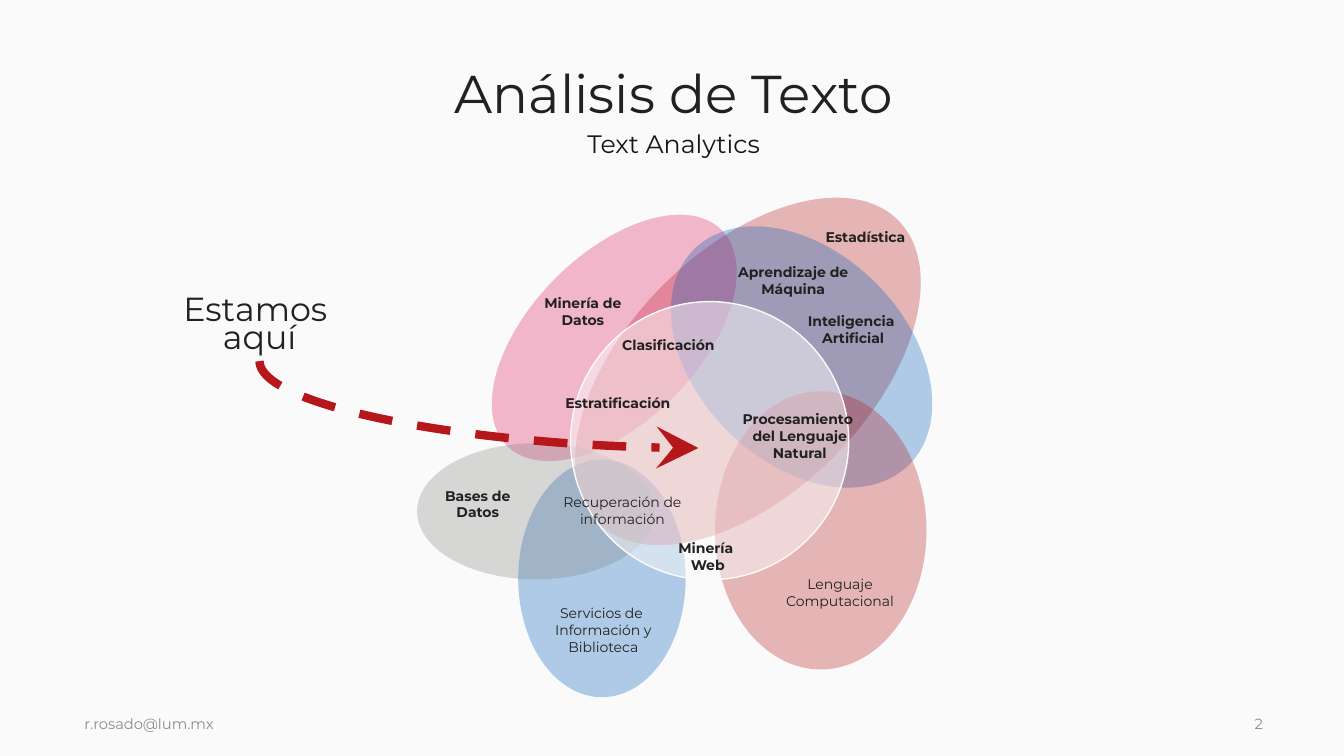
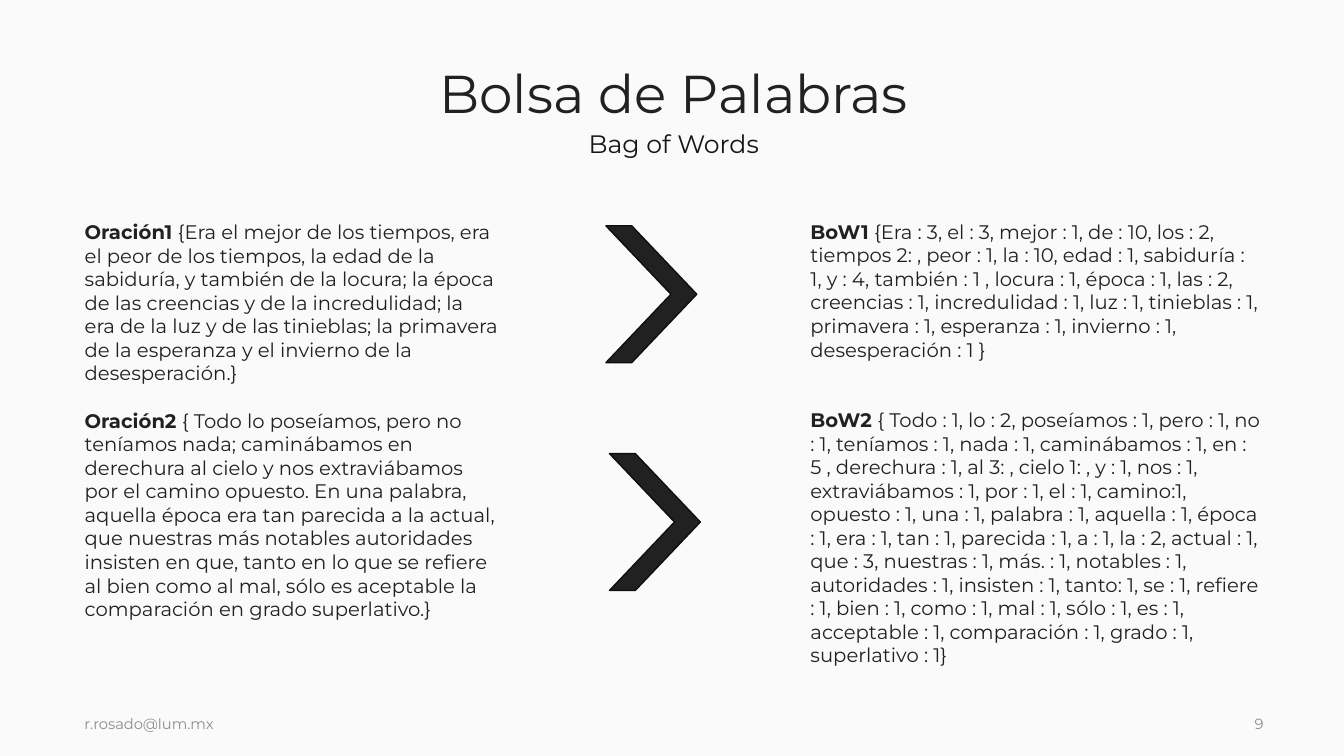
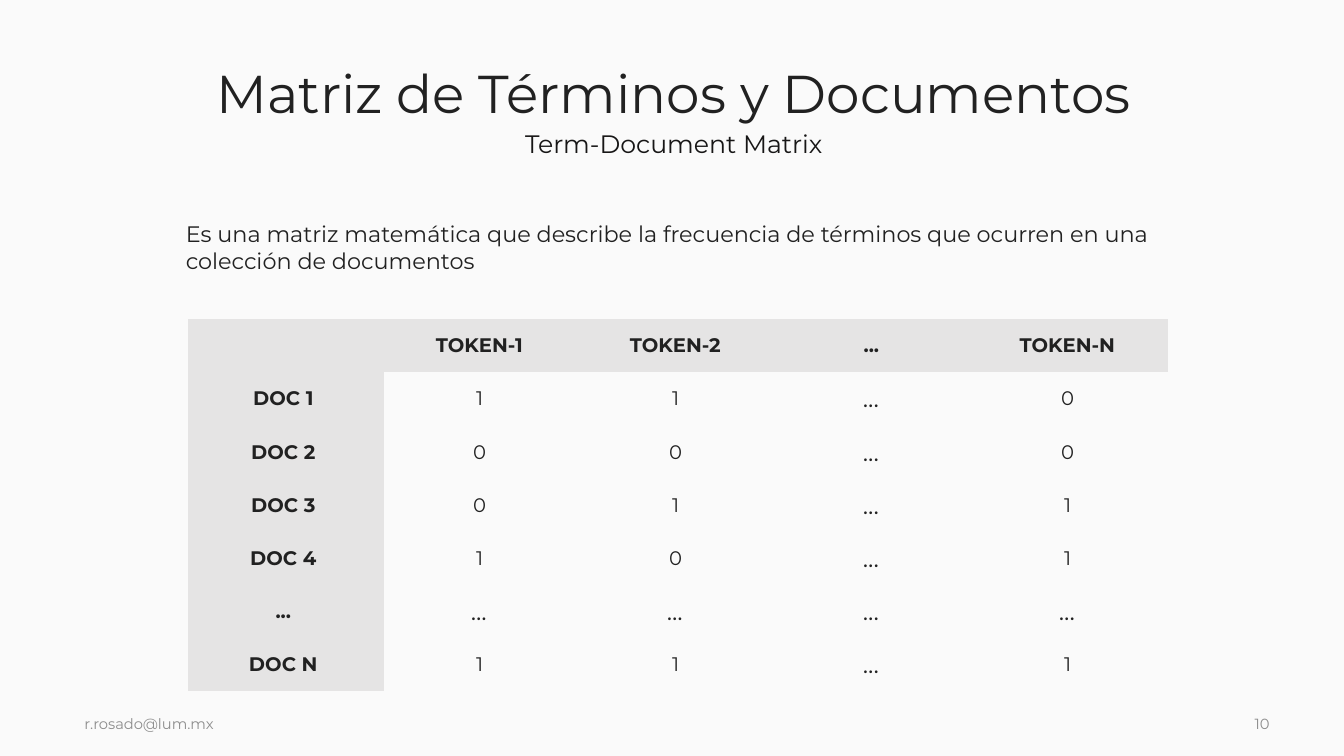
from dataclasses import dataclass

from lxml.etree import SubElement
from pptx import Presentation
from pptx.dml.color import RGBColor
from pptx.enum.dml import MSO_LINE
from pptx.enum.shapes import MSO_CONNECTOR, MSO_SHAPE
from pptx.enum.text import MSO_ANCHOR, MSO_AUTO_SIZE, PP_ALIGN
from pptx.oxml.ns import qn
from pptx.util import Cm, Pt


@dataclass(frozen=True)
class Theme:
    font: str = "Montserrat"
    paper: str = "FAFAFA"
    ink: str = "212121"
    subtitle_ink: str = "171616"
    footer_ink: str = "8D8D8D"
    edge: str = "0E0E0E"
    band: str = "E5E4E4"
    red: str = "B6171A"
    pink: str = "E01B5D"
    blue: str = "005CB9"
    gray: str = "868382"
    title: float = 38
    callout: float = 23.8
    subtitle: float = 18
    dots: float = 18
    description: float = 16
    body: float = 14
    footer: float = 10.5
    label: float = 10


THEME = Theme()
TITLE_ONLY, TITLE_BODY, TWO_BODIES = 5, 1, 3
NO_STYLE_TABLE = "{2D5ABB26-0587-4C30-8999-92F81FD0307C}"
COMBINING_ACCENTS = str.maketrans(
    {accented: plain_vowel + "\u0301" for accented, plain_vowel in zip("áéíóú", "aeiou")})

EMAIL = "r.rosado@lum.mx"
TITLE_BOX = (1.93, 1.3, 30.1, 2.26)
SUBTITLE_BOX = (1.93, 3.1, 30.1, 1.02)
EMAIL_BOX = (1.88, 17.42, 19.46, 1.63)
NUMBER_BOX = (31.37, 17.42, 0.99, 1.63)

FIELDS = [
    ((13.06, 11.58, 4.22, 5.99), 0, THEME.blue),
    ((15.8, 3.99, 6.1, 10.74), 44.7, THEME.red),
    ((13.37, 4.68, 4.22, 7.67), 44.7, THEME.pink),
    ((17.56, 5.16, 5.28, 7.67), 135, THEME.blue),
    ((11.79, 9.89, 3.43, 5.99), 90, THEME.gray),
    ((18.02, 9.86, 5.33, 7.01), 0, THEME.red),
]
TEXT_ANALYTICS_BOX = (14.38, 7.6, 7.01, 7.01)
LABELS = [
    (20.54, 5.64, 2.54, True, ["Estadística"]),
    (20.09, 7.75, 2.82, True, ["Inteligencia ", "Artificial"]),
    (18.34, 6.52, 3.3, True, ["Aprendizaje de", "Máquina"]),
    (13.72, 15.11, 2.97, False, ["Servicios de ", "Información y", "Biblioteca"]),
    (10.96, 12.15, 2.16, True, ["Bases de", "Datos"]),
    (13.46, 7.29, 2.46, True, ["Minería de", "Datos"]),
    (15.41, 8.36, 2.87, True, ["Clasificación"]),
    (13.97, 9.82, 3.2, True, ["Estratificación"]),
    (13.92, 12.32, 3.53, False, ["Recuperación de", "información"]),
    (19.53, 14.38, 3.28, False, ["Lenguaje", "Computacional"]),
    (18.44, 10.22, 3.43, True, ["Procesamiento ", "del Lenguaje", "Natural"]),
    (16.83, 13.48, 2.01, True, ["Minería ", "Web"]),
]
CALLOUT = ["Estamos ", "aquí"]
CALLOUT_BOX = (4.21, 7.37, 4.67, 1.73)
ARROW_START, ARROW_END = (6.54, 9.1), (17.6, 11.29)

SENTENCES = [
    ("Oración1", "{Era el mejor de los tiempos, era el peor de los tiempos, la edad de la "
     "sabiduría, y también de la locura; la época de las creencias y de la incredulidad; "
     "la era de la luz y de las tinieblas; la primavera de la esperanza y el invierno de "
     "la desesperación.} "),
    ("Oración2", "{ Todo lo poseíamos, pero no teníamos nada; caminábamos en derechura al "
     "cielo y nos extraviábamos por el camino opuesto. En una palabra, aquella época era "
     "tan parecida a la actual, que nuestras más notables autoridades insisten en que, "
     "tanto en lo que se refiere al bien como al mal, sólo es aceptable la comparación en "
     "grado superlativo.} "),
]
BAGS = [
    ("BoW1", "{Era : 3, el : 3, mejor : 1, de : 10, los : 2, tiempos 2: , peor : 1, "
     "la : 10, edad : 1, sabiduría : 1, y : 4, también : 1 , locura : 1, época : 1, "
     "las : 2, creencias : 1, incredulidad : 1, luz : 1, tinieblas : 1, primavera : 1, "
     "esperanza : 1, invierno : 1, desesperación : 1 } "),
    ("BoW2", "{ Todo : 1, lo : 2, poseíamos : 1, pero : 1, no : 1, teníamos : 1, nada : 1, "
     "caminábamos : 1, en : 5 , derechura : 1, al 3: , cielo 1: , y : 1, nos : 1, "
     "extraviábamos : 1, por : 1, el : 1, camino:1, opuesto : 1, una : 1, palabra : 1, "
     "aquella : 1, época : 1, era : 1, tan : 1, parecida : 1, a : 1, la : 2, actual : 1, "
     "que : 3, nuestras : 1, más. : 1, notables : 1, autoridades : 1, insisten : 1, "
     "tanto: 1, se : 1, refiere : 1, bien : 1, como : 1, mal : 1, sólo : 1, es : 1, "
     "acceptable : 1, comparación : 1, grado : 1, superlativo : 1} "),
]
COLUMNS = [
    ((1.88, 5.42, 10.95, 10.44), SENTENCES, 17),
    ((20.17, 5.41, 11.85, 11.63), BAGS, 33.6),
]
CHEVRONS = [(15.27, 5.69, 2.29, 3.45), (15.36, 11.43, 2.29, 3.45)]

DESCRIPTION = ("Es una matriz matemática que describe la frecuencia de términos que "
               "ocurren en una colección de documentos ")
DESCRIPTION_BOX = (4.43, 5.42, 25.3, 1.63)
MATRIX = [
    ["", "TOKEN-1", "TOKEN-2", "...", "TOKEN-N"],
    ["DOC 1", "1", "1", "...", "0"],
    ["DOC 2", "0", "0", "...", "0"],
    ["DOC 3", "0", "1", "...", "1"],
    ["DOC 4", "1", "0", "...", "1"],
    ["...", "...", "...", "...", "..."],
    ["DOC N", "1", "1", "...", "1"],
]
MATRIX_LEFT, MATRIX_TOP, COLUMN_WIDTH, ROW_HEIGHT = 4.74, 8.04, 4.94, 1.34


def apply(target, values):
    for name, value in values.items():
        setattr(target, name, value)


def cm(lengths):
    return [Cm(length) for length in lengths]


def place(shape, box):
    apply(shape, dict(zip(("left", "top", "width", "height"), cm(box))))


def paint(fill, color, opacity=100):
    fill.solid()
    fill.fore_color.rgb = RGBColor.from_string(color)
    if opacity < 100:
        for tint in fill._xPr.iter(qn("a:srgbClr")):
            SubElement(tint, qn("a:alpha"), val=str(opacity * 1000))


def outline(shape, color, width):
    paint(shape.line.fill, color)
    shape.line.width = Pt(width)


def write(frame, paragraphs, size, color=THEME.ink, paragraph_format=None, gap=0, **frame_format):
    apply(frame, {"word_wrap": True, "auto_size": MSO_AUTO_SIZE.NONE, **frame_format})
    for index, runs in enumerate(paragraphs):
        paragraph = frame.add_paragraph() if index else frame.paragraphs[0]
        apply(paragraph, {"space_before": Pt(gap if index else 0), **(paragraph_format or {})})
        for text, bold in runs:
            run = paragraph.add_run()
            run.text = text
            apply(run.font, {"name": THEME.font, "size": Pt(size), "bold": bold})
            run.font.color.rgb = RGBColor.from_string(color)


def plain(*lines, bold=False):
    return [[(line, bold)] for line in lines]


def add_text(slide, box, *content, **style):
    write(slide.shapes.add_textbox(*cm(box)).text_frame, *content, **style)


def fill_body(body, box, paragraphs, size, **style):
    place(body, box)
    outline(body, THEME.paper, 0.75)
    combined = [[(text.translate(COMBINING_ACCENTS), bold) for text, bold in runs]
                for runs in paragraphs]
    write(body.text_frame, combined, size, paragraph_format=LEFT, **style)
    for paragraph in body.text_frame.paragraphs:
        properties = paragraph._p.get_or_add_pPr()
        for name in ("marL", "indent"):
            properties.set(name, "0")
        SubElement(properties, qn("a:buNone"))


def add_figure(slide, preset, box, color, opacity=100, edge=None, rotation=0):
    figure = slide.shapes.add_shape(preset, *cm(box))
    figure.shadow.inherit = False
    figure.rotation = rotation
    paint(figure.fill, color, opacity)
    if edge:
        outline(figure, edge, 1)
    else:
        figure.line.fill.background()
    return figure


def add_arrow(slide, start, end):
    (x1, y1), (x2, y2) = start, end
    center_x, center_y = (x1 + x2) / 2, (y1 + y2) / 2
    half_run, half_drop = (x2 - x1) / 2, (y2 - y1) / 2
    arrow = slide.shapes.add_connector(MSO_CONNECTOR.CURVE, *cm((
        center_x + half_drop, center_y - half_run,
        center_x - half_drop, center_y + half_run)))
    properties = arrow._element.spPr
    properties.find(qn("a:xfrm")).set("rot", str(270 * 60000))
    properties.find(qn("a:prstGeom")).set("prst", "curvedConnector2")
    outline(arrow, THEME.red, 6)
    arrow.line.dash_style = MSO_LINE.DASH
    SubElement(properties.find(qn("a:ln")), qn("a:tailEnd"), type="stealth", w="lg", len="lg")
    SubElement(properties, qn("a:effectLst"))


def add_page(layout, title, subtitle, number):
    slide = deck.slides.add_slide(deck.slide_layouts[layout])
    place(slide.shapes.title, TITLE_BOX)
    write(slide.shapes.title.text_frame, plain(title), THEME.title,
          paragraph_format={**CENTERED, "line_spacing": 0.9},
          vertical_anchor=MSO_ANCHOR.MIDDLE)
    add_text(slide, SUBTITLE_BOX, plain(subtitle), THEME.subtitle, THEME.subtitle_ink, CENTERED)
    for box, text in ((EMAIL_BOX, EMAIL), (NUMBER_BOX, number)):
        add_text(slide, box, plain(text), THEME.footer, THEME.footer_ink,
                 vertical_anchor=MSO_ANCHOR.MIDDLE)
    return slide


CENTERED = {"alignment": PP_ALIGN.CENTER}
LEFT = {"alignment": PP_ALIGN.LEFT}

deck = Presentation()
apply(deck, {"slide_width": Cm(33.87), "slide_height": Cm(19.05)})
paint(deck.slide_master.background.fill, THEME.paper)

analytics = add_page(TITLE_ONLY, "Análisis de Texto", "Text Analytics", "2")
for box, rotation, color in FIELDS:
    add_figure(analytics, MSO_SHAPE.OVAL, box, color, 30, rotation=rotation)
add_figure(analytics, MSO_SHAPE.OVAL, TEXT_ANALYTICS_BOX, THEME.paper, 50, THEME.paper)
for left, top, width, bold, lines in LABELS:
    add_text(analytics, (left, top, width, 0.26 + 0.43 * len(lines)), plain(*lines, bold=bold),
             THEME.label, paragraph_format=CENTERED, word_wrap=False,
             auto_size=MSO_AUTO_SIZE.SHAPE_TO_FIT_TEXT)
add_text(analytics, CALLOUT_BOX, plain(*CALLOUT), THEME.callout,
         paragraph_format={**CENTERED, "line_spacing": 0.7}, vertical_anchor=MSO_ANCHOR.MIDDLE)
add_arrow(analytics, ARROW_START, ARROW_END)

words = add_page(TWO_BODIES, "Bolsa de Palabras", "Bag of Words", "9")
for body, (box, entries, gap) in zip(list(words.placeholders)[1:], COLUMNS):
    fill_body(body, box, [[(name + " ", True), (text, False)] for name, text in entries],
              THEME.body, gap=gap)
for box in CHEVRONS:
    chevron = add_figure(words, MSO_SHAPE.CHEVRON, box, THEME.ink, edge=THEME.edge)
    chevron.adjustments[0] = 0.716

terms = add_page(TITLE_BODY, "Matriz de Términos y Documentos", "Term-Document Matrix", "10")
fill_body(terms.placeholders[1], DESCRIPTION_BOX, plain(DESCRIPTION), THEME.description)
row_count, column_count = len(MATRIX), len(MATRIX[0])
matrix = terms.shapes.add_table(row_count, column_count, *cm((
    MATRIX_LEFT, MATRIX_TOP, COLUMN_WIDTH * column_count, ROW_HEIGHT * row_count))).table
apply(matrix, {"first_row": False, "horz_banding": False})
matrix._tbl.tblPr.find(qn("a:tableStyleId")).text = NO_STYLE_TABLE
for row, values in enumerate(MATRIX):
    for column, value in enumerate(values):
        cell = matrix.cell(row, column)
        cell.vertical_anchor = MSO_ANCHOR.MIDDLE
        heading = row == 0 or column == 0
        if heading:
            paint(cell.fill, THEME.band)
        else:
            cell.fill.background()
        size = THEME.dots if value == "..." and not heading else THEME.body
        if value:
            write(cell.text_frame, plain(value + " ", bold=heading), size,
                  paragraph_format=CENTERED)

deck.save("out.pptx")
